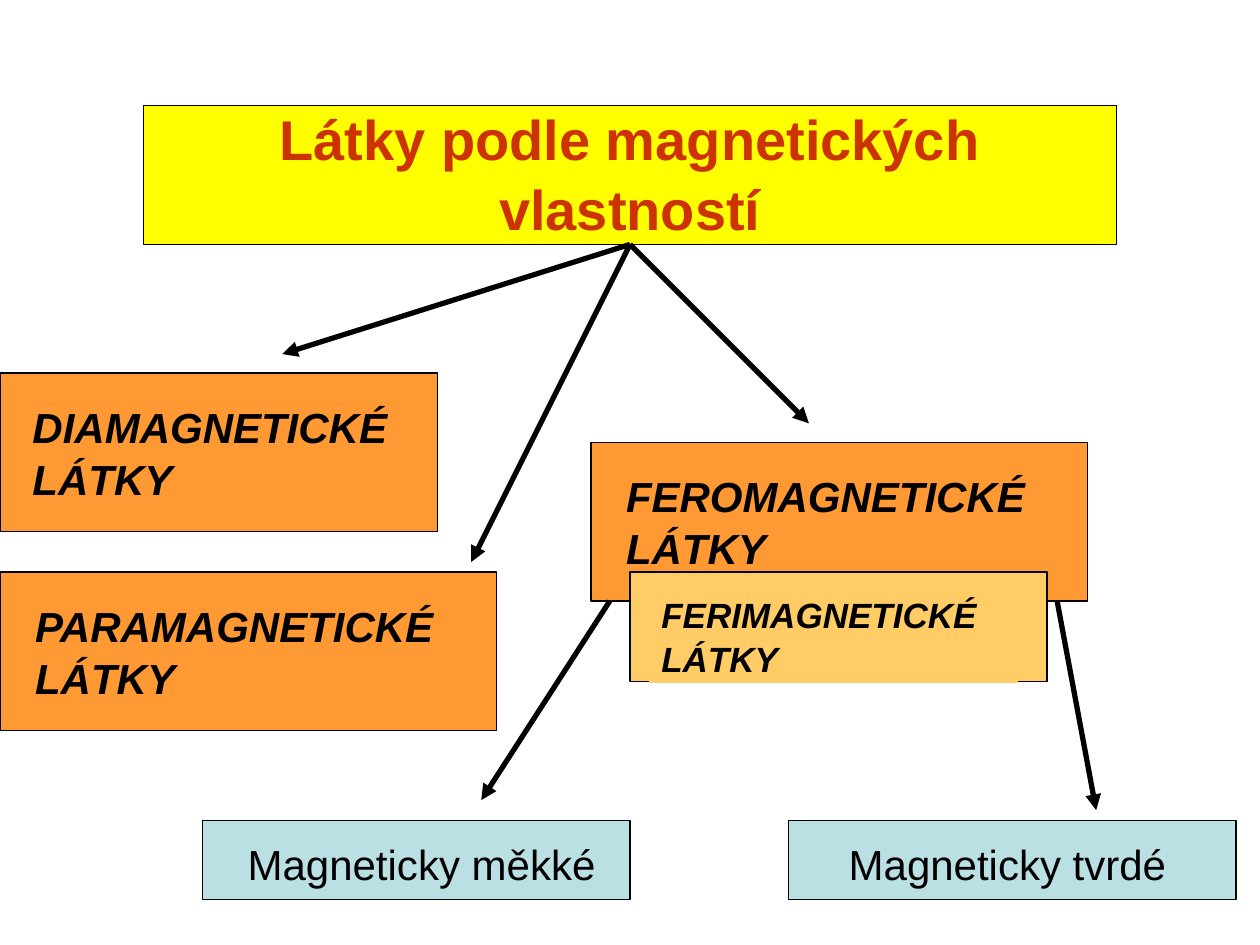
from lxml import etree
from pptx import Presentation
from pptx.dml.color import RGBColor
from pptx.enum.shapes import MSO_CONNECTOR, MSO_SHAPE
from pptx.enum.text import MSO_ANCHOR, PP_ALIGN
from pptx.oxml.ns import qn
from pptx.util import Inches, Pt

PROCESS, RECT = MSO_SHAPE.FLOWCHART_PROCESS, MSO_SHAPE.RECTANGLE
STRAIGHT = MSO_CONNECTOR.STRAIGHT
TOP = MSO_ANCHOR.TOP
LEFT, CENTER = PP_ALIGN.LEFT, PP_ALIGN.CENTER
TITLE_ONLY = 5
ORANGE, AMBER, BLUE, YELLOW = "FF9933", "FFCC66", "BBE0E3", "FFFF00"


def rgb(value):
    return RGBColor.from_string(value)


def write(sp, text, size=24, color="000000", bold=False, italic=False, align=LEFT):
    tf = sp.text_frame
    tf.word_wrap = True
    tf.vertical_anchor = TOP
    tf.margin_left = tf.margin_right = Inches(0.1)
    tf.margin_top = tf.margin_bottom = Inches(0.05)
    p = tf.paragraphs[0]
    p.alignment = align
    p.line_spacing = 1.04
    p.space_before = Pt(0)
    r = p.add_run()
    r.text = text
    r.font.name = "Arial"
    r.font.size = Pt(size)
    r.font.bold, r.font.italic = bold, italic
    r.font.color.rgb = rgb(color)


def add_box(s, box, fill, shape=PROCESS, outlined=True):
    sp = s.shapes.add_shape(shape, *map(Inches, box))
    sp.shadow.inherit = False
    sp.fill.solid()
    sp.fill.fore_color.rgb = rgb(fill)
    if outlined:
        sp.line.color.rgb = rgb("000000")
        sp.line.width = Pt(0.75)
    else:
        sp.line.fill.background()
    return sp


def add_heading(s, box, text_box, text):
    add_box(s, box, YELLOW)
    title = s.shapes.title
    title.left, title.top, title.width, title.height = map(Inches, text_box)
    write(title, text, size=32, color="CC3300", bold=True, align=CENTER)
    s.shapes._spTree.append(title._element)


def add_category(s, box, label_box, text, fill=ORANGE, size=24):
    add_box(s, box, fill)
    label = add_box(s, label_box, fill, RECT, outlined=False)
    write(label, text, size=size, bold=True, italic=True)


def add_subtype(s, box, text):
    left, top, width, height = box
    add_box(s, box, BLUE)
    label = s.shapes.add_textbox(*map(Inches, (left + 0.08, top + 0.08, 3.31, 0.5)))
    write(label, text, align=CENTER)


def add_arrow(s, start, end):
    arrow = s.shapes.add_connector(STRAIGHT, *map(Inches, start + end))
    arrow.line.color.rgb = rgb("000000")
    arrow.line.width = Pt(3)
    etree.SubElement(arrow.line._get_or_add_ln(), qn("a:tailEnd"), type="triangle")
    etree.SubElement(arrow._element.spPr, qn("a:effectLst"))


def main():
    prs = Presentation()
    prs.slide_width, prs.slide_height = Inches(10), Inches(7.5)
    s = prs.slides.add_slide(prs.slide_layouts[TITLE_ONLY])

    add_heading(s, (1.14, 0.84, 7.72, 1.1), (1.85, 0.76, 6.3, 1.17),
                "Látky podle magnetických vlastností")

    add_category(s, (0, 2.96, 3.47, 1.26), (0.16, 3.12, 3.07, 0.9),
                 "DIAMAGNETICKÉ LÁTKY")
    for left, top, text in ((0, 4.54, "PARAMAGNETICKÉ LÁTKY"),
                            (4.69, 3.51, "FEROMAGNETICKÉ LÁTKY")):
        add_category(s, (left, top, 3.94, 1.26),
                     (left + 0.18, top + 0.16, 3.49, 0.9), text)
    add_category(s, (5, 4.54, 3.31, 0.87), (5.15, 4.65, 2.93, 0.77),
                 "FERIMAGNETICKÉ LÁTKY", fill=AMBER, size=20)

    for end in ((6.42, 3.36), (2.24, 2.81), (3.74, 4.46)):
        add_arrow(s, (5, 1.94), end)
    add_arrow(s, (4.84, 4.77), (3.82, 6.35))
    add_arrow(s, (8.39, 4.77), (8.7, 6.43))

    add_subtype(s, (1.61, 6.51, 3.39, 0.63), "Magneticky měkké")
    add_subtype(s, (6.26, 6.51, 3.55, 0.63), "Magneticky tvrdé")

    prs.save("out.pptx")


if __name__ == "__main__":
    main()
